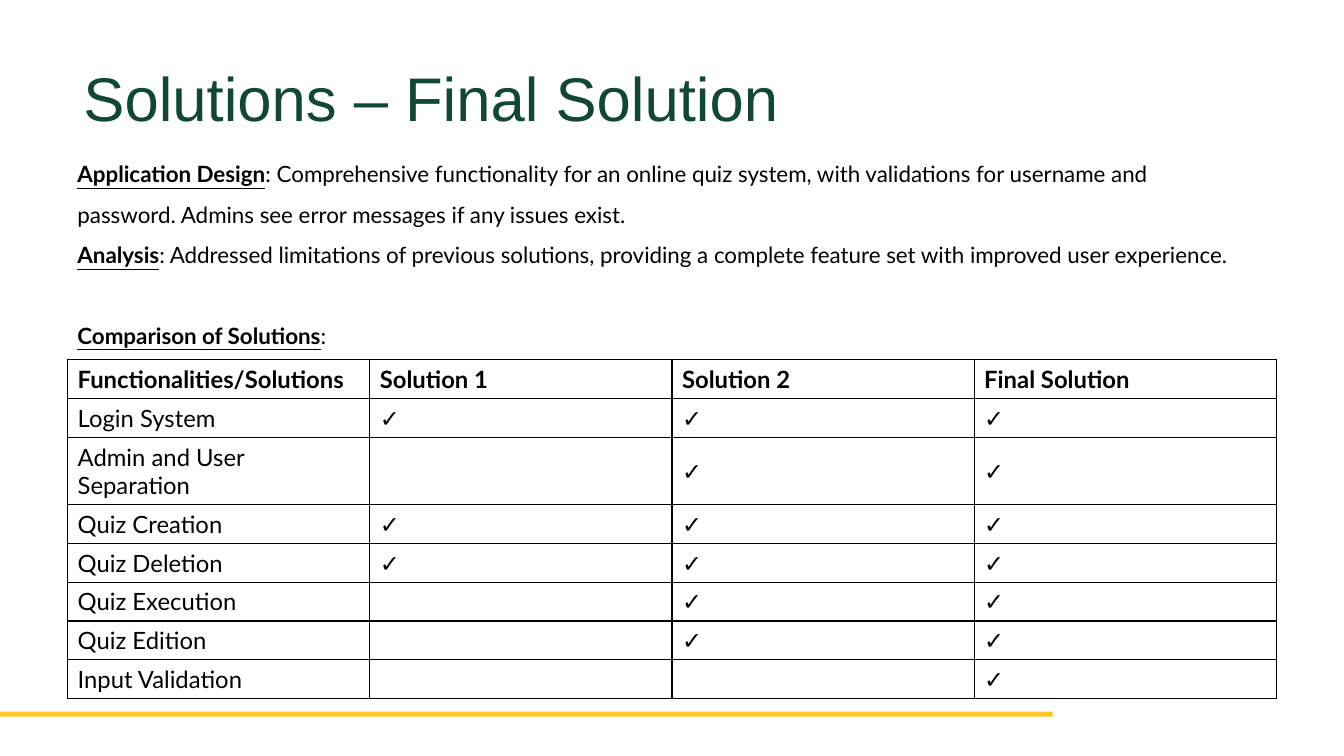
from dataclasses import dataclass

import pptx
import pptx.dml.color
import pptx.enum.shapes
import pptx.enum.text
import pptx.oxml
import pptx.oxml.ns
import pptx.util

Inches = pptx.util.Inches
Pt = pptx.util.Pt
RGBColor = pptx.dml.color.RGBColor


@dataclass(frozen=True)
class Theme:
    green: str = "124734"
    gold: str = "FFC629"
    black: str = "000000"
    title_font: str = "Arial"
    body_font: str = "Lato"
    title_size: float = 44
    body_size: float = 16
    table_size: float = 17
    border_width: float = 1


@dataclass(frozen=True)
class Note:
    label: str
    detail: str
    space_before: float = 0


@dataclass(frozen=True)
class Feature:
    name: str
    support: tuple[bool, bool, bool]


THEME = Theme()
NOTES = (
    Note("Application Design", ": Comprehensive functionality for an online quiz system, with "
         "validations for username and password. Admins see error messages if any issues exist."),
    Note("Analysis", ": Addressed limitations of previous solutions, providing a complete "
         "feature set with improved user experience."),
    Note("Comparison of Solutions", ":", 28.8),
)
HEADINGS = ("Functionalities/Solutions", "Solution 1", "Solution 2", "Final Solution")
FEATURES = (
    Feature("Login System", (True, True, True)),
    Feature("Admin and User Separation", (False, True, True)),
    Feature("Quiz Creation", (True, True, True)),
    Feature("Quiz Deletion", (True, True, True)),
    Feature("Quiz Execution", (False, True, True)),
    Feature("Quiz Edition", (False, True, True)),
    Feature("Input Validation", (False, False, True)),
)
TALL_ROW = 2
TALL_HEIGHT = 0.67
TABLE_HEIGHT = 3.36
TABLE_WIDTH = 11.99


def set_font(para, name: str, size: float, color: str) -> None:
    para.font.name = name
    para.font.size = Pt(size)
    para.font.color.rgb = RGBColor.from_string(color)


def add_text_frame(page, left: float, top: float, width: float, height: float):
    box = page.shapes.add_textbox(Inches(left), Inches(top), Inches(width), Inches(height))
    box.text_frame.word_wrap = True
    return box.text_frame


def add_footer_bar(page) -> None:
    bar = page.shapes.add_shape(pptx.enum.shapes.MSO_SHAPE.RECTANGLE,
                                Inches(0), Inches(7.06), Inches(10.44), Inches(0.05))
    bar.shadow.inherit = False
    bar.fill.solid()
    bar.fill.fore_color.rgb = RGBColor.from_string(THEME.gold)
    bar.line.fill.background()


def add_title(page) -> None:
    frame = add_text_frame(page, 0.73, 0.6, 11.87, 0.82)
    frame.vertical_anchor = pptx.enum.text.MSO_ANCHOR.MIDDLE
    para = frame.paragraphs[0]
    para.text = "Solutions – Final Solution"
    para.line_spacing = 0.9
    set_font(para, THEME.title_font, THEME.title_size, THEME.green)


def add_notes(page) -> None:
    frame = add_text_frame(page, 0.67, 1.41, 11.67, 2.08)
    for index, note in enumerate(NOTES):
        para = frame.add_paragraph() if index else frame.paragraphs[0]
        para.line_spacing = 1.5
        if note.space_before:
            para.space_before = Pt(note.space_before)
        label = para.add_run()
        label.text = note.label
        label.font.bold = True
        label.font.underline = True
        para.add_run().text = note.detail
        set_font(para, THEME.body_font, THEME.body_size, THEME.black)


def add_borders(cell) -> None:
    properties = cell._tc.get_or_add_tcPr()
    namespace = pptx.oxml.ns.nsdecls("a")
    for index, side in enumerate(("lnL", "lnR", "lnT", "lnB")):
        properties.insert(index, pptx.oxml.parse_xml(
            f'<a:{side} {namespace} w="{Pt(THEME.border_width)}"><a:solidFill>'
            f'<a:srgbClr val="{THEME.black}"/></a:solidFill></a:{side}>'))


def fill_cell(cell, text: str, bold: bool) -> None:
    cell.fill.background()
    cell.vertical_anchor = pptx.enum.text.MSO_ANCHOR.MIDDLE
    cell.margin_top = cell.margin_bottom = Inches(0.02)
    para = cell.text_frame.paragraphs[0]
    if text:
        para.text = text
    set_font(para, THEME.body_font, THEME.table_size, THEME.black)
    para.font.bold = bold
    add_borders(cell)


def add_comparison(page) -> None:
    rows = [HEADINGS]
    for feature in FEATURES:
        rows.append((feature.name, *("✓" if held else "" for held in feature.support)))
    table = page.shapes.add_table(len(rows), len(HEADINGS), Inches(0.67), Inches(3.57),
                                  Inches(TABLE_WIDTH), Inches(TABLE_HEIGHT)).table
    table.horz_banding = False
    row_height = (TABLE_HEIGHT - TALL_HEIGHT) / (len(rows) - 1)
    for row_index, texts in enumerate(rows):
        height = TALL_HEIGHT if row_index == TALL_ROW else row_height
        table.rows[row_index].height = Inches(height)
        for column_index, text in enumerate(texts):
            fill_cell(table.cell(row_index, column_index), text, row_index == 0)


def main() -> None:
    deck = pptx.Presentation()
    deck.slide_width = Inches(13.33)
    deck.slide_height = Inches(7.5)
    page = deck.slides.add_slide(deck.slide_layouts[6])
    add_footer_bar(page)
    add_title(page)
    add_comparison(page)
    add_notes(page)
    deck.save("out.pptx")


if __name__ == "__main__":
    main()
